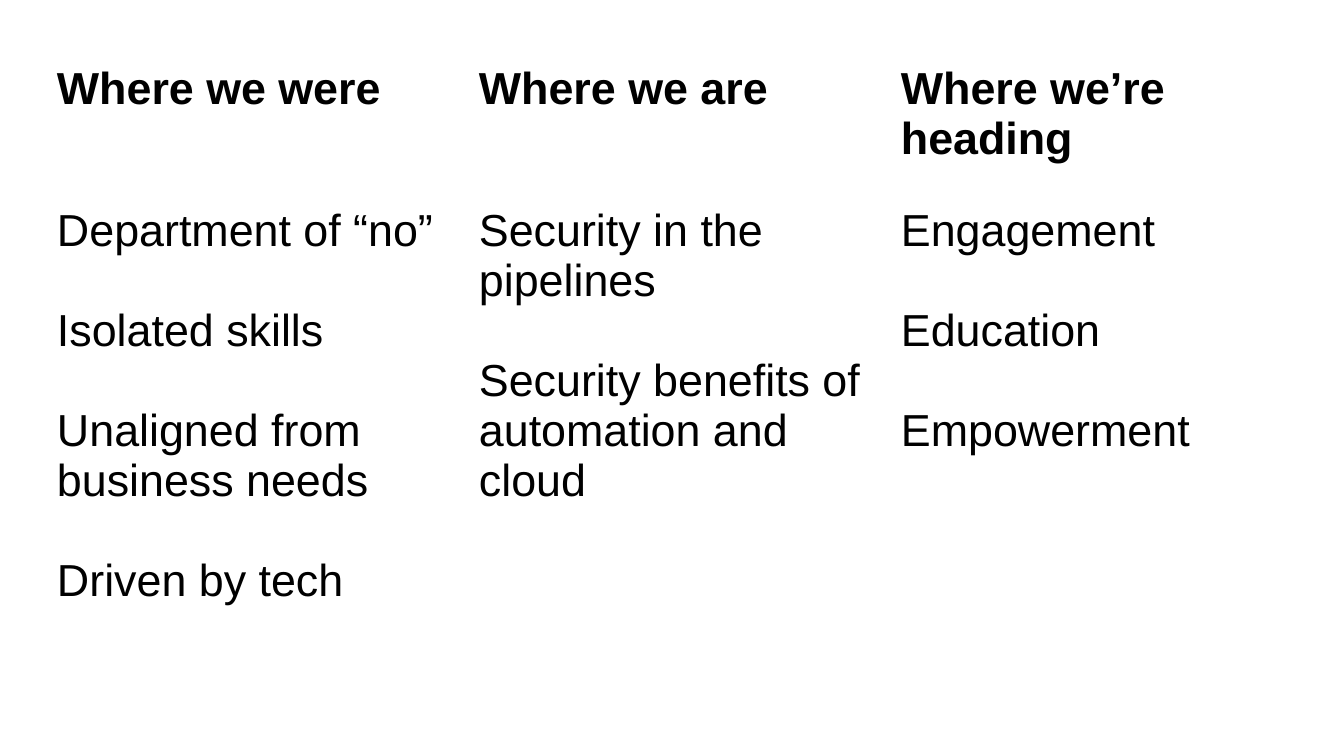
"""Build a three-column slide on where we were, are and are heading."""
import pptx
import pptx.dml.color
import pptx.util

STAGES = [
    ("Where we were", ["Department of “no”", "Isolated skills",
                       "Unaligned from business needs", "Driven by tech"]),
    ("Where we are", ["Security in the pipelines",
                      "Security benefits of automation and cloud"]),
    ("Where we’re heading", ["Engagement", "Education", "Empowerment"]),
]
COLORS = {"background": "FFFFFF", "text": "000000"}
FONT = "Arial"
TEXT_SIZE = pptx.util.Pt(24)
POINT_GAP = pptx.util.Pt(26.8)
SLIDE_WIDTH, SLIDE_HEIGHT = 1344, 756
LEFT, TOP = 44, 51
STAGE_WIDTH = 422
ROW_HEIGHTS = [142, 476]
INSET = 13


def px(length):
    return round(length * 914400 / 134.4)


def color(name):
    return pptx.dml.color.RGBColor.from_string(COLORS[name])


def fill_cell(cell, lines, bold):
    cell.fill.solid()
    cell.fill.fore_color.rgb = color("background")
    cell.margin_left = cell.margin_right = px(INSET)
    cell.margin_top = cell.margin_bottom = px(INSET)
    cell.text_frame.text = "\n".join(lines)
    for index, paragraph in enumerate(cell.text_frame.paragraphs):
        if index:
            paragraph.space_before = POINT_GAP
        font = paragraph.runs[0].font
        font.name, font.size, font.bold = FONT, TEXT_SIZE, bold
        font.color.rgb = color("text")


def main():
    deck = pptx.Presentation()
    deck.slide_width, deck.slide_height = px(SLIDE_WIDTH), px(SLIDE_HEIGHT)
    slide = deck.slides.add_slide(deck.slide_layouts[6])
    slide.background.fill.solid()
    slide.background.fill.fore_color.rgb = color("background")

    journey = slide.shapes.add_table(
        len(ROW_HEIGHTS), len(STAGES), px(LEFT), px(TOP),
        px(STAGE_WIDTH * len(STAGES)), px(sum(ROW_HEIGHTS))).table
    journey.first_row = journey.horz_banding = False
    for row, height in zip(journey.rows, ROW_HEIGHTS):
        row.height = px(height)
    for column, (heading, points) in enumerate(STAGES):
        journey.columns[column].width = px(STAGE_WIDTH)
        fill_cell(journey.cell(0, column), [heading], True)
        fill_cell(journey.cell(1, column), points, False)

    deck.save("out.pptx")


if __name__ == "__main__":
    main()
